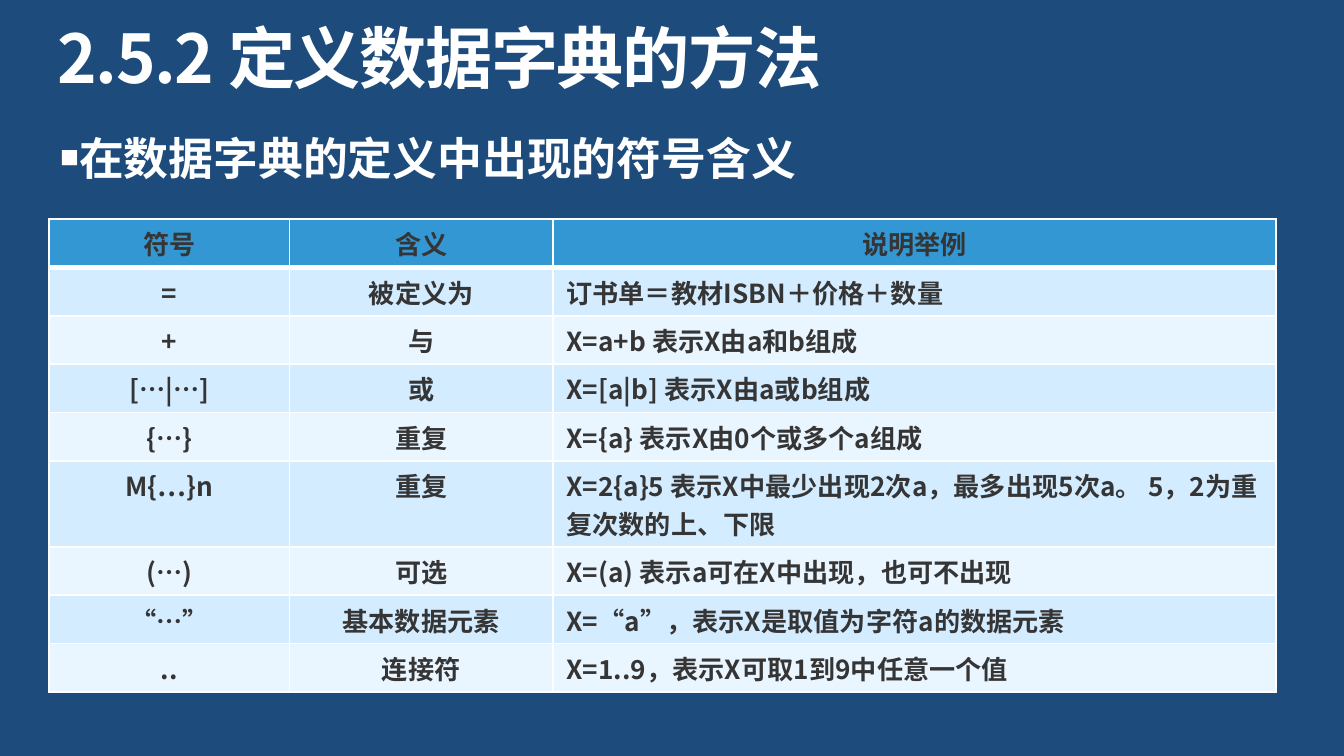
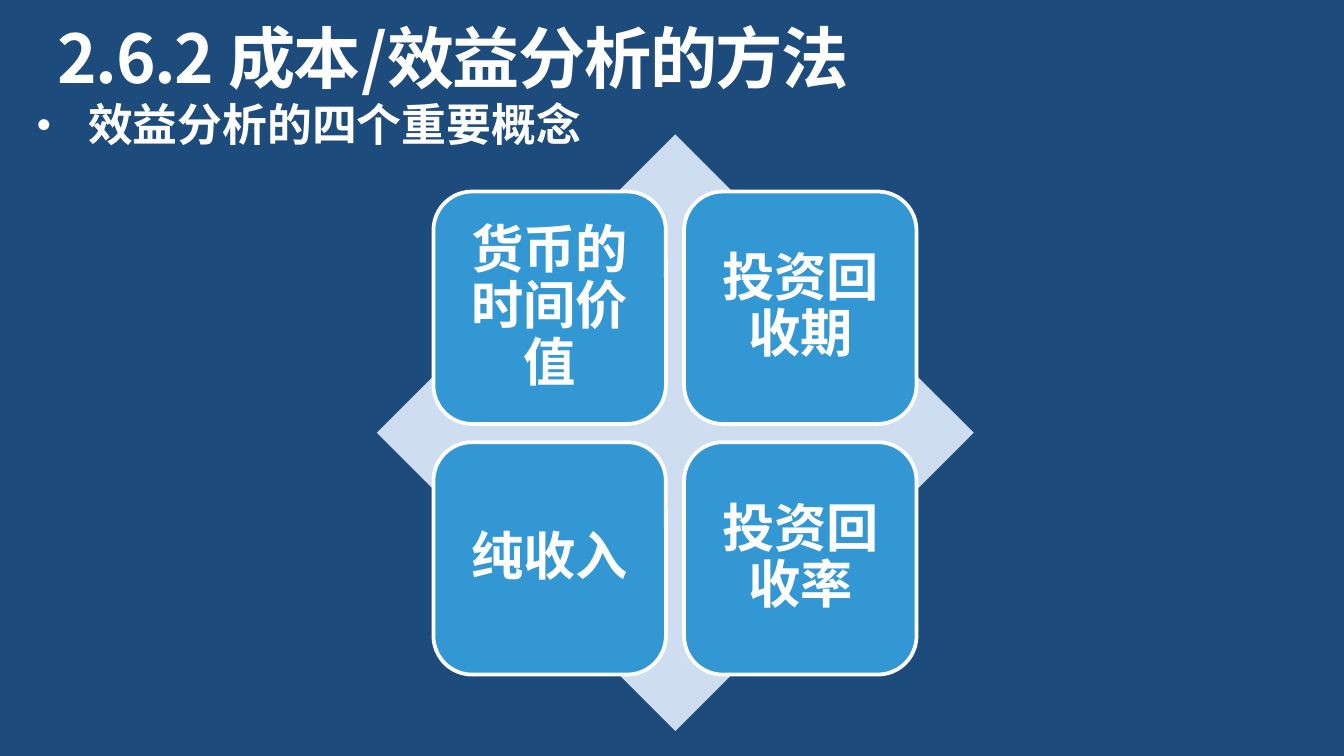
from lxml import etree
from pptx import Presentation
from pptx.dml.color import RGBColor
from pptx.enum.shapes import MSO_SHAPE
from pptx.enum.text import MSO_ANCHOR, MSO_AUTO_SIZE, PP_ALIGN
from pptx.oxml.ns import qn
from pptx.util import Pt

PX = 4572
FONT = "Noto Sans CJK SC"
COLORS = {
    "navy": "1D4C7C",
    "white": "FFFFFF",
    "ink": "363535",
    "blue": "3397D3",
    "band_dark": "D3ECFF",
    "band_light": "EAF6FF",
    "pale": "CEDDEF",
}
CENTER, LEFT = PP_ALIGN.CENTER, PP_ALIGN.LEFT
TOP, MIDDLE = MSO_ANCHOR.TOP, MSO_ANCHOR.MIDDLE
GROW = MSO_AUTO_SIZE.SHAPE_TO_FIT_TEXT
DIAMOND, ROUND_RECT = MSO_SHAPE.DIAMOND, MSO_SHAPE.ROUNDED_RECTANGLE


class Deck:
    def __init__(self, width, height):
        self.prs = Presentation()
        self.prs.slide_width = width * PX
        self.prs.slide_height = height * PX
        self.s = None

    def color(self, name):
        return RGBColor.from_string(COLORS[name])

    def slide(self, title):
        self.s = self.prs.slides.add_slide(self.prs.slide_layouts[6])
        fill = self.s.background.fill
        fill.solid()
        fill.fore_color.rgb = self.color("navy")
        self.text(title, 86, 38, 1830, 110, 36, spacing=0.9, tracking=-80)

    def run(self, p, text, size, color="white"):
        r = p.add_run()
        r.text = text
        r.font.size = Pt(size)
        r.font.bold = True
        r.font.name = FONT
        r.font.color.rgb = self.color(color)
        etree.SubElement(r._r.get_or_add_rPr(), qn("a:ea"), typeface=FONT)
        return r

    def margins(self, target, x, y):
        target.margin_left = target.margin_right = x * PX
        target.margin_top = target.margin_bottom = y * PX

    def bullet(self, p, char, percent, indent):
        pPr = p._p.get_or_add_pPr()
        pPr.set("marL", str(indent * PX))
        pPr.set("indent", str(-indent * PX))
        etree.SubElement(pPr, qn("a:buSzPct"), val=str(percent * 1000))
        etree.SubElement(pPr, qn("a:buFont"), typeface="Arial")
        etree.SubElement(pPr, qn("a:buChar"), char=char)

    def text(self, text, x, y, w, h, size, spacing, inset=(0, 0),
             wrap=True, bullet=None, tracking=0):
        tf = self.s.shapes.add_textbox(x * PX, y * PX, w * PX, h * PX).text_frame
        tf.word_wrap = wrap
        tf.auto_size = GROW
        tf.vertical_anchor = TOP
        self.margins(tf, *inset)
        p = tf.paragraphs[0]
        if bullet:
            self.bullet(p, *bullet)
        p.line_spacing = spacing
        r = self.run(p, text, size)
        if tracking:
            r._r.get_or_add_rPr().set("spc", str(tracking))

    def shape(self, kind, x, y, w, h, fill, line=None):
        sp = self.s.shapes.add_shape(kind, x * PX, y * PX, w * PX, h * PX)
        sp.shadow.inherit = False
        sp.fill.solid()
        sp.fill.fore_color.rgb = self.color(fill)
        if line:
            sp.line.color.rgb = self.color(line)
            sp.line.width = Pt(2)
        else:
            sp.line.fill.background()
        return sp

    def tile(self, text, x, y, side):
        tf = self.shape(ROUND_RECT, x, y, side, side, "blue", "white").text_frame
        tf.word_wrap = True
        tf.vertical_anchor = MIDDLE
        self.margins(tf, 24, 24)
        p = tf.paragraphs[0]
        p.alignment = CENTER
        p.line_spacing = 0.9
        self.run(p, text, 28)

    def border(self, cell, side, points):
        ln = etree.SubElement(cell._tc.get_or_add_tcPr(), qn("a:ln" + side),
                              w=str(Pt(points)))
        fill = etree.SubElement(ln, qn("a:solidFill"))
        etree.SubElement(fill, qn("a:srgbClr"), val=COLORS["white"])

    def cell(self, cell, text, fill, align, top, bottom):
        for side, points in (("L", 1), ("R", 1), ("T", top), ("B", bottom)):
            self.border(cell, side, points)
        cell.fill.solid()
        cell.fill.fore_color.rgb = self.color(fill)
        self.margins(cell, 20, 8)
        p = cell.text_frame.paragraphs[0]
        p.alignment = align
        self.run(p, text, 14, "ink")

    def table(self, rows, x, y, widths, heights):
        table = self.s.shapes.add_table(
            len(rows), len(widths), x * PX, y * PX,
            sum(widths) * PX, sum(heights) * PX).table
        table.horz_banding = False
        for column, width in zip(table.columns, widths):
            column.width = width * PX
        for i, row in enumerate(rows):
            table.rows[i].height = heights[i] * PX
            if i == 0:
                fill = "blue"
            else:
                fill = "band_dark" if i % 2 else "band_light"
            for j, text in enumerate(row):
                align = LEFT if i and j == 2 else CENTER
                self.cell(table.cell(i, j), text, fill, align,
                          3 if i == 1 else 1, 3 if i == 0 else 1)


def symbols_slide(deck):
    deck.slide("2.5.2 定义数据字典的方法")
    rows = [
        ("符号", "含义", "说明举例"),
        ("=", "被定义为", "订书单＝教材ISBN＋价格＋数量"),
        ("+", "与", "X=a+b 表示X由a和b组成"),
        ("[…|…]", "或", "X=[a|b] 表示X由a或b组成"),
        ("{…}", "重复", "X={a} 表示X由0个或多个a组成"),
        ("M{…}n", "重复",
         "X=2{a}5 表示X中最少出现2次a，最多出现5次a。 5，2为重复次数的上、下限"),
        ("(…)", "可选", "X=(a) 表示a可在X中出现，也可不出现"),
        ("“…”", "基本数据元素", "X=“a”，表示X是取值为字符a的数据元素"),
        ("..", "连接符", "X=1..9，表示X可取1到9中任意一个值"),
    ]
    heights = [72] * len(rows)
    heights[5] = 128
    deck.table(rows, 73, 326, [358, 392, 1076], heights)
    deck.text("在数据字典的定义中出现的符号含义", 70, 200, 1152, 88, 24,
              spacing=0.8, inset=(20, 10), wrap=False, bullet=("■", 70, 0))


def benefit_slide(deck):
    deck.slide("2.6.2 成本/效益分析的方法")
    deck.text("效益分析的四个重要概念", 55, 153, 1830, 72, 24,
              spacing=0.9, bullet=("•", 90, 76))
    deck.shape(DIAMOND, 561, 200, 888, 888, "pale")
    concepts = ["货币的时间价值", "投资回收期", "纯收入", "投资回收率"]
    side, pitch = 346, 373
    for i, concept in enumerate(concepts):
        row, col = divmod(i, 2)
        deck.tile(concept, 645 + col * pitch, 285 + row * pitch, side)


def main():
    deck = Deck(2000, 1125)
    symbols_slide(deck)
    benefit_slide(deck)
    deck.prs.save("out.pptx")


if __name__ == "__main__":
    main()
